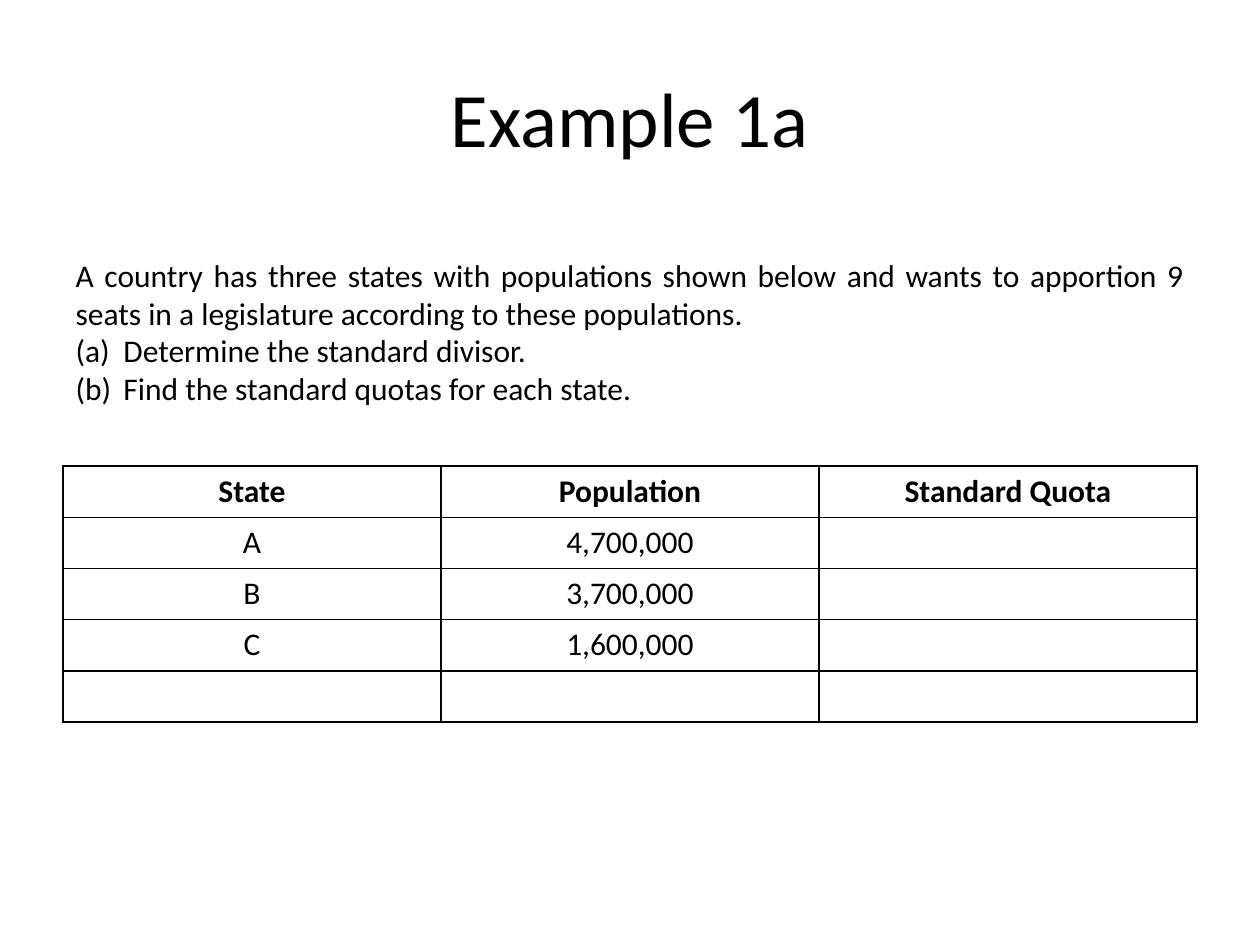
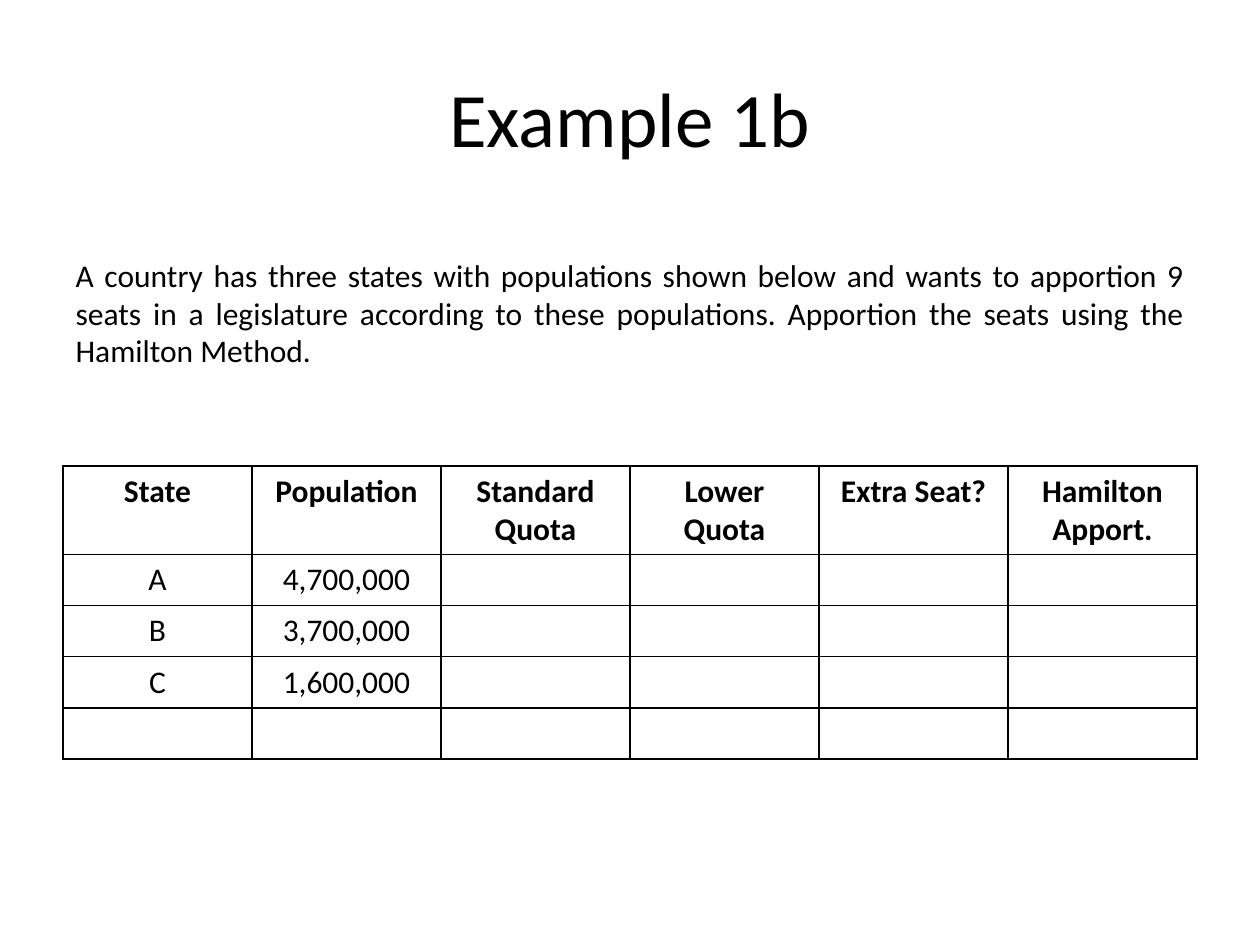
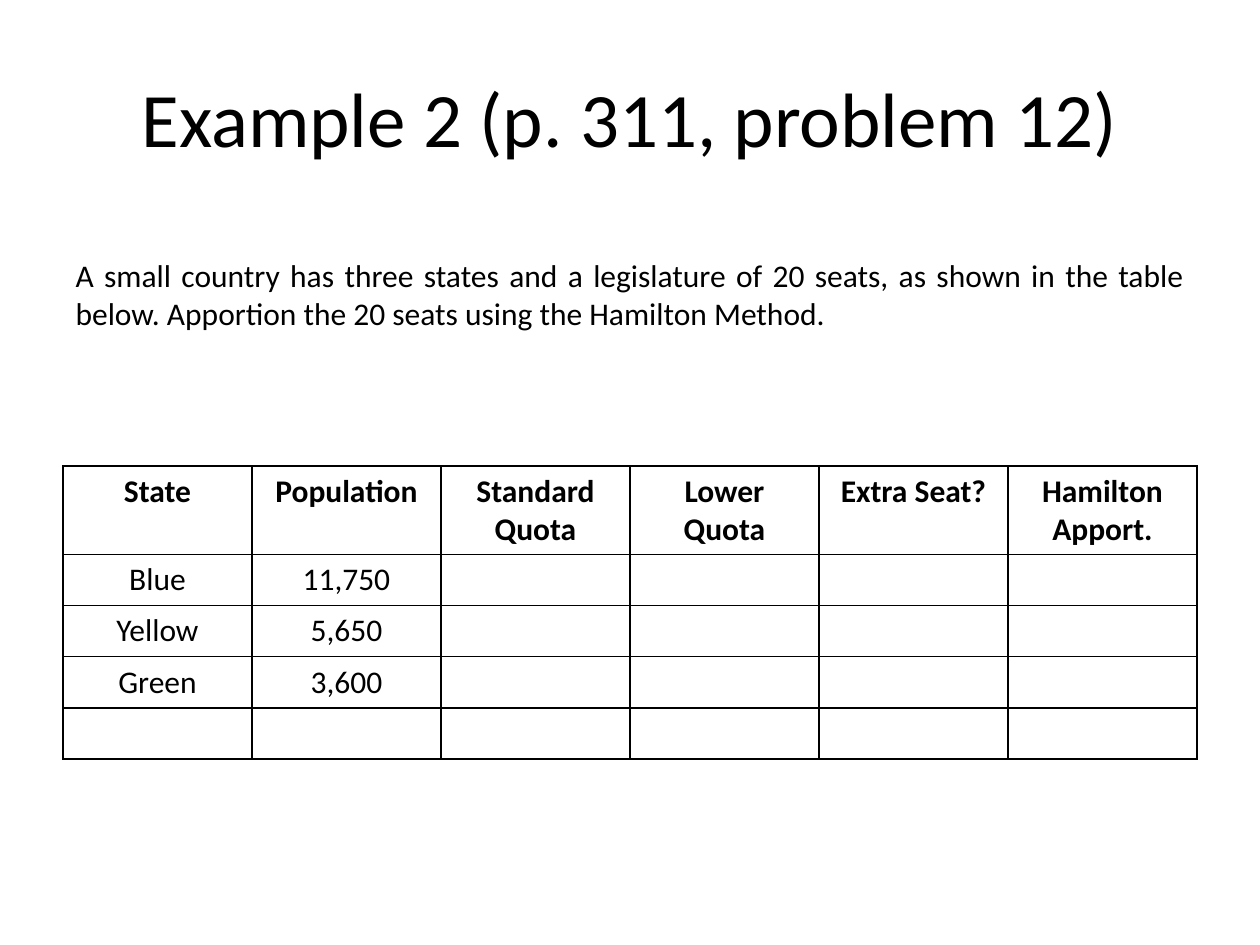
from dataclasses import dataclass

from lxml import etree
from pptx import Presentation
from pptx import util as u
from pptx.dml.color import RGBColor
from pptx.enum import text
from pptx.oxml import ns


@dataclass(frozen=True)
class Theme:
    font: str = "Calibri"
    ink: RGBColor = RGBColor(0, 0, 0)
    title_size: int = 44
    text_size: int = 18
    border: float = 1
    hanging: float = 0.38


@dataclass(frozen=True)
class Area:
    row: float
    rows: float
    column: float = 1
    columns: float = 18

    def bounds(self) -> tuple[int, int, int, int]:
        return (
            u.Inches(self.column * COLUMN),
            u.Inches(self.row * ROW),
            u.Inches(self.columns * COLUMN),
            u.Inches(self.rows * ROW),
        )


@dataclass(frozen=True)
class Example:
    title: str
    problem: str
    problem_lines: int
    headings: tuple[str, ...]
    states: tuple[tuple[str, str], ...]
    tasks: tuple[str, ...] = ()


THEME = Theme()
WIDTH, HEIGHT = 10, 7.5
COLUMN, ROW = WIDTH / 20, HEIGHT / 75
TITLE_AREA = Area(3, 12.5)
TABLE_AREA = Area(37, 20.3)
PROBLEM_ROW = 19.8

LETTER_STATES = (("A", "4,700,000"), ("B", "3,700,000"), ("C", "1,600,000"))
COLOR_STATES = (("Blue", "11,750"), ("Yellow", "5,650"), ("Green", "3,600"))
QUOTA_HEADINGS = ("State", "Population", "Standard Quota")
HAMILTON_HEADINGS = QUOTA_HEADINGS + ("Lower Quota", "Extra Seat?", "Hamilton Apport.")
COUNTRY = (
    "A country has three states with populations shown below and wants to "
    "apportion 9 seats in a legislature according to these populations."
)

EXAMPLES = (
    Example(
        "Example 1a", COUNTRY, 2, QUOTA_HEADINGS, LETTER_STATES,
        ("Determine the standard divisor.", "Find the standard quotas for each state."),
    ),
    Example(
        "Example 1b", f"{COUNTRY} Apportion the seats using the Hamilton Method.", 3,
        HAMILTON_HEADINGS, LETTER_STATES,
    ),
    Example(
        "Example 2 (p. 311, problem 12)",
        "A small country has three states and a legislature of 20 seats, as shown in "
        "the table below. Apportion the 20 seats using the Hamilton Method.", 2,
        HAMILTON_HEADINGS, COLOR_STATES,
    ),
)


def place(shape, area: Area) -> None:
    shape.left, shape.top, shape.width, shape.height = area.bounds()


def format_para(para, size: int, align, bold: bool = False) -> None:
    para.alignment = align
    para.font.name = THEME.font
    para.font.size = u.Pt(size)
    para.font.bold = bold
    para.font.color.rgb = THEME.ink


def set_bullet(para, numbered: bool) -> None:
    properties = para._p.get_or_add_pPr()
    indent = u.Inches(THEME.hanging) if numbered else 0
    properties.set("marL", str(indent))
    properties.set("indent", str(-indent))
    bullet = etree.Element(ns.qn("a:buAutoNum" if numbered else "a:buNone"))
    if numbered:
        bullet.set("type", "alphaLcParenBoth")
    properties.find(ns.qn("a:defRPr")).addprevious(bullet)


def add_title(page, title: str) -> None:
    box = page.shapes.title
    place(box, TITLE_AREA)
    box.text_frame.text = title
    box.text_frame.vertical_anchor = text.MSO_ANCHOR.MIDDLE
    format_para(box.text_frame.paragraphs[0], THEME.title_size, text.PP_ALIGN.CENTER)


def add_problem(page, example: Example) -> None:
    box = page.placeholders[1]
    lines = example.problem_lines + len(example.tasks)
    place(box, Area(PROBLEM_ROW, 1.1 + 3 * lines))
    frame = box.text_frame
    frame.text = "\n".join((example.problem, *example.tasks))
    frame.auto_size = text.MSO_AUTO_SIZE.SHAPE_TO_FIT_TEXT
    for number, para in enumerate(frame.paragraphs):
        format_para(para, THEME.text_size, text.PP_ALIGN.JUSTIFY)
        para.space_before = u.Pt(0)
        set_bullet(para, numbered=number > 0)


def add_borders(cell) -> None:
    properties = cell._tc.get_or_add_tcPr()
    for position, side in enumerate(("lnL", "lnR", "lnT", "lnB")):
        line = etree.Element(ns.qn(f"a:{side}"), w=str(u.Pt(THEME.border)))
        fill = etree.SubElement(line, ns.qn("a:solidFill"))
        etree.SubElement(fill, ns.qn("a:srgbClr"), val=str(THEME.ink))
        properties.insert(position, line)


def add_state_table(page, example: Example) -> None:
    records = (example.headings, *example.states, ())
    columns = len(example.headings)
    table = page.shapes.add_table(len(records), columns, *TABLE_AREA.bounds()).table
    table.first_row = False
    table.horz_banding = False
    for row, record in enumerate(records):
        for column in range(columns):
            cell = table.cell(row, column)
            if column < len(record):
                cell.text = record[column]
            cell.fill.background()
            add_borders(cell)
            format_para(
                cell.text_frame.paragraphs[0], THEME.text_size,
                text.PP_ALIGN.CENTER, bold=row == 0,
            )


def main() -> None:
    deck = Presentation()
    deck.slide_width, deck.slide_height = u.Inches(WIDTH), u.Inches(HEIGHT)
    for example in EXAMPLES:
        page = deck.slides.add_slide(deck.slide_layouts[1])
        add_title(page, example.title)
        add_state_table(page, example)
        add_problem(page, example)
    deck.save("out.pptx")


if __name__ == "__main__":
    main()
